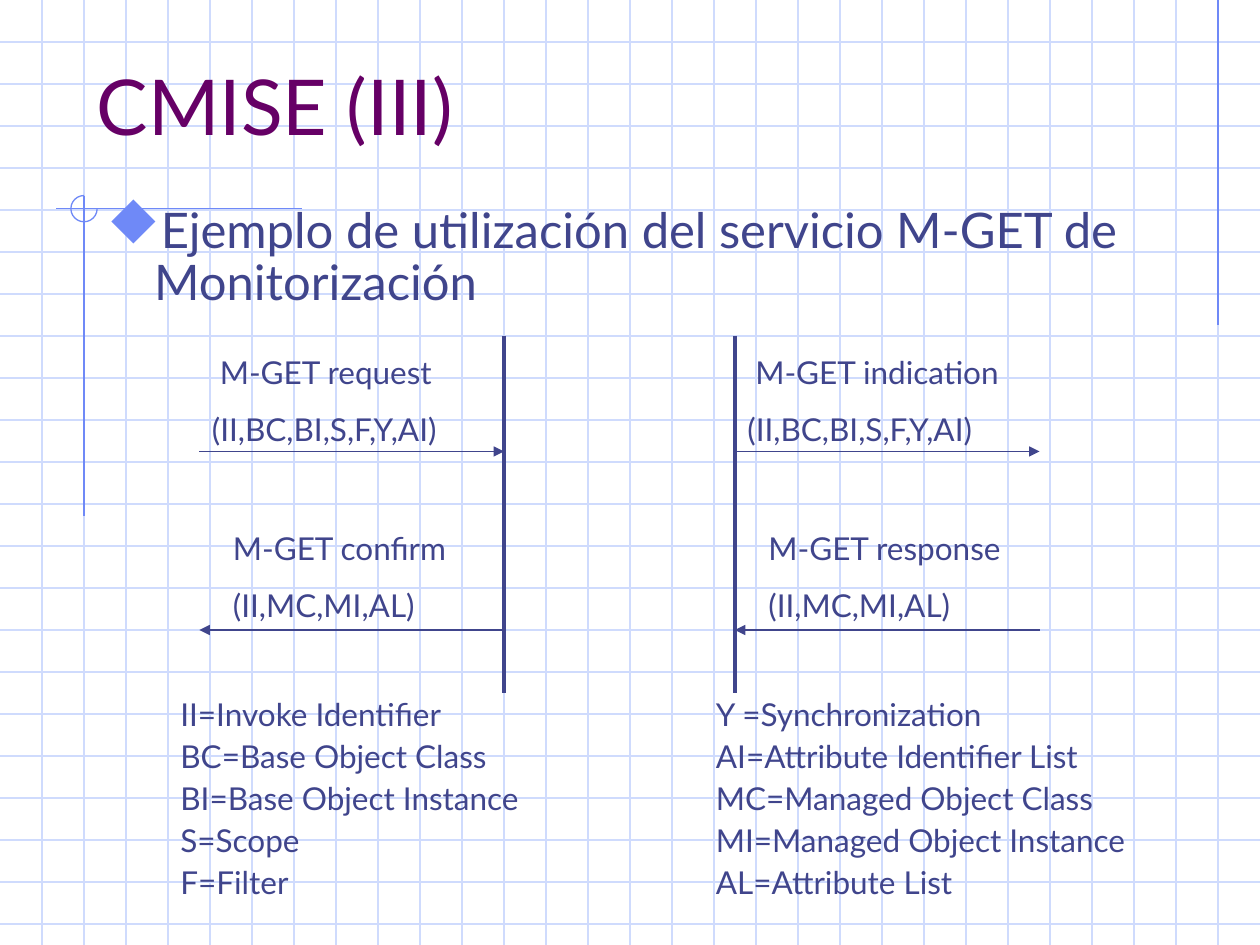
from lxml import etree
from pptx import Presentation, util as u
from pptx.dml.color import RGBColor
from pptx.enum import shapes, text
from pptx.oxml import ns

PX = 9525  # EMU per px, 96 px to the inch
WIDE, HIGH = 960, 720
GRID, BLUE, INK, PLUM = "CFDBFD", "6F89F7", "40458C", "660066"
GEM = "u"  # the diamond in Wingdings


def px(num):
    return u.Emu(round(num * PX))


def color(code):
    return RGBColor.from_string(code)


def add(node, tag, **attrs):
    return etree.SubElement(node, ns.qn(tag), attrs)


def line(slide, x1, y1, x2, y2, tint=INK, pt=0.75, arrow=False):
    link = slide.shapes.add_connector(
        shapes.MSO_CONNECTOR.STRAIGHT, px(x1), px(y1), px(x2), px(y2))
    link.line.color.rgb = color(tint)
    link.line.width = u.Pt(pt)
    if arrow:
        add(link.line._get_or_add_ln(), "a:tailEnd", type="triangle")
    add(link._element.spPr, "a:effectLst")


def write(shape, rows, size=18, tint=INK, gap=0, lead=None, hang=0,
          shift=0, bullet=None, anchor=text.MSO_ANCHOR.TOP):
    frame = shape.text_frame
    frame.word_wrap = True
    frame.auto_size = text.MSO_AUTO_SIZE.NONE
    frame.vertical_anchor = anchor
    for i, row in enumerate(rows):
        para = frame.paragraphs[0] if i == 0 else frame.add_paragraph()
        prop = para._p.get_or_add_pPr()
        if hang:
            prop.set("marL", str(px(hang)))
            prop.set("indent", str(px(-hang)))
        elif shift and i == 0:
            prop.set("indent", str(px(shift)))
        if bullet:
            add(add(prop, "a:buClr"), "a:srgbClr", val=BLUE)
            add(prop, "a:buSzPct", val="110000")
            add(prop, "a:buFont", typeface="Wingdings",
                pitchFamily="2", charset="2")
            add(prop, "a:buChar", char=bullet)
        para.alignment = text.PP_ALIGN.LEFT
        if lead:
            para.line_spacing = lead
        para.space_before = u.Pt(gap if i else 0)
        run = para.add_run()
        run.text = row
        run.font.size = u.Pt(size)
        run.font.name = "Lato"
        run.font.color.rgb = color(tint)


def label(slide, x, y, w, h, rows, **form):
    box = slide.shapes.add_textbox(px(x), px(y), px(w), px(h))
    write(box, rows, **form)


def paper(slide, step=32):
    # Squared paper
    for y in range(step, HIGH, step):
        line(slide, 0, y, WIDE, y, GRID)
    for x in range(step, WIDE, step):
        line(slide, x, 0, x, HIGH, GRID)
    # Margin lines and the open ring where they cross
    line(slide, 928, 0, 928, 248, BLUE)
    line(slide, 230, 159, 43, 159, BLUE)
    line(slide, 64, 149, 64, 393, BLUE)
    ring = slide.shapes.add_shape(
        shapes.MSO_SHAPE.ARC, px(54), px(149), px(20), px(20))
    ring.adjustments[0] = 0
    ring.adjustments[1] = 162  # 270 degrees
    ring.shadow.inherit = False
    ring.fill.background()
    ring.line.color.rgb = color(BLUE)
    ring.line.width = u.Pt(0.75)


def heading(slide, x, y, w, h):
    title = slide.shapes.title
    title.left, title.top, title.width, title.height = map(px, (x, y, w, h))
    write(title, ["CMISE (III)"], size=44, tint=PLUM,
          anchor=text.MSO_ANCHOR.BOTTOM)
    slide.shapes._spTree.append(title._element)  # above the paper


def side(slide, x, y, bar, wide, calls, keys):
    """One party: its time line, two messages and a legend."""
    span, tall = 232, 272
    line(slide, bar, y, bar, y + tall, pt=2.25)
    for down, inset, shift, (rows, right) in zip(
            (88, 224), (0, 16), (6, 0), zip(calls, (True, False))):
        ends = (x, x + span) if right else (x + span, x)
        line(slide, ends[0], y + down, ends[1], y + down, arrow=True)
        label(slide, x + inset, y + down - (80 if right else 82), 224, 83,
              rows, gap=11.2, shift=shift)
    label(slide, x - 24, y + tall, wide, 152, keys,
          gap=4.5, lead=0.9, hang=36)


def main():
    deck = Presentation()
    deck.slide_width, deck.slide_height = px(WIDE), px(HIGH)
    slide = deck.slides.add_slide(deck.slide_layouts[5])
    slide.background.fill.solid()
    slide.background.fill.fore_color.rgb = color("FFFFFF")
    paper(slide)
    heading(slide, 64, 0, 816, 120)
    label(slide, 72, 152, 832, 96,
          ["Ejemplo de utilización del servicio M-GET de Monitorización"],
          size=28, lead=0.9, hang=36, bullet=GEM)

    ask, reply = "(II,BC,BI,S,F,Y,AI)", "(II,MC,MI,AL)"
    side(slide, 152, 256, 384, 296,
         [("M-GET request", ask), ("M-GET confirm", reply)],
         ["II=Invoke Identifier", "BC=Base Object Class",
          "BI=Base Object Instance", "S=Scope", "F=Filter"])
    side(slide, 560, 256, 560, 360,
         [("M-GET indication", ask), ("M-GET response", reply)],
         ["Y =Synchronization", "AI=Attribute Identifier List",
          "MC=Managed Object Class", "MI=Managed Object Instance",
          "AL=Attribute List"])
    deck.save("out.pptx")


if __name__ == "__main__":
    main()
